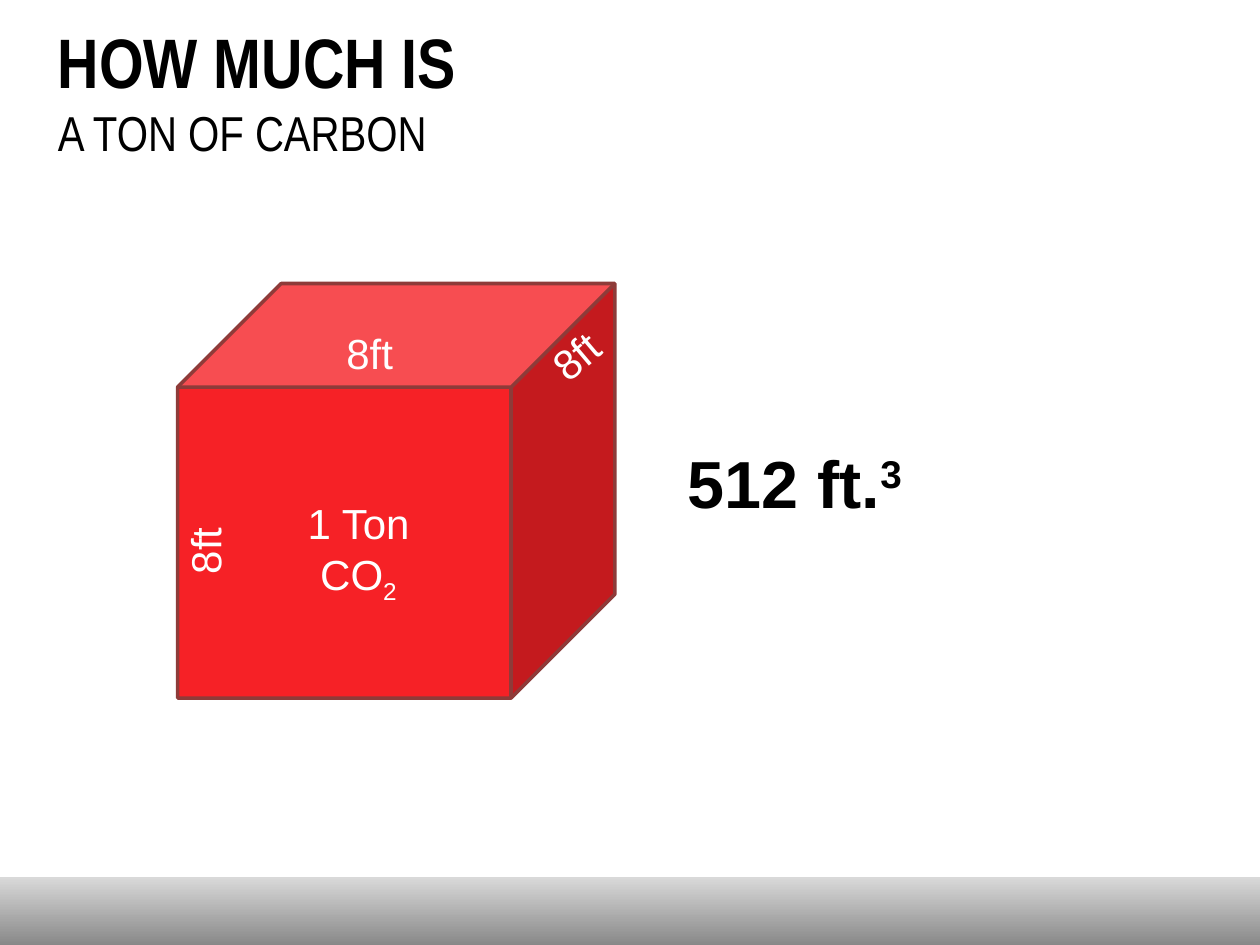
from dataclasses import dataclass

from pptx import Presentation
from pptx.dml.color import RGBColor
from pptx.enum.shapes import MSO_SHAPE
from pptx.enum.text import MSO_ANCHOR, MSO_AUTO_SIZE, PP_ALIGN
from pptx.util import Inches, Pt

LEFT, CENTER = PP_ALIGN.LEFT, PP_ALIGN.CENTER
TOP, BOTTOM = MSO_ANCHOR.TOP, MSO_ANCHOR.BOTTOM
NO_AUTOFIT = MSO_AUTO_SIZE.NONE
RECTANGLE, CUBE = MSO_SHAPE.RECTANGLE, MSO_SHAPE.CUBE


@dataclass(frozen=True)
class Theme:
    black: RGBColor = RGBColor(0x00, 0x00, 0x00)
    white: RGBColor = RGBColor(0xFF, 0xFF, 0xFF)
    cube_fill: RGBColor = RGBColor(0xF6, 0x21, 0x26)
    cube_line: RGBColor = RGBColor(0x8E, 0x3B, 0x39)
    bar_dark: RGBColor = RGBColor(0x80, 0x80, 0x80)
    bar_light: RGBColor = RGBColor(0xD9, 0xD9, 0xD9)
    title_font: str = "Arial Narrow"
    body_font: str = "Arial"
    title_size: int = 40
    subtitle_size: int = 28
    volume_size: int = 38
    label_size: int = 24


THEME = Theme()


@dataclass(frozen=True)
class TextRun:
    text: str
    size: int = THEME.label_size
    color: RGBColor = THEME.white
    font: str = THEME.body_font
    bold: bool = False
    baseline: int = 0  # percent of the type size, negative for subscript


@dataclass(frozen=True)
class Label:
    left: float
    top: float
    height: float
    paragraphs: list[list[TextRun]]
    width: float = 1.19
    rotation: float = 0
    alignment: PP_ALIGN = LEFT
    anchor: MSO_ANCHOR = TOP
    inset: float = 0.1


def place_text(shape, label: Label) -> None:
    """Position a text shape and fill it run by run."""
    shape.left, shape.top = Inches(label.left), Inches(label.top)
    shape.width, shape.height = Inches(label.width), Inches(label.height)
    shape.rotation = label.rotation
    frame = shape.text_frame
    frame.word_wrap = True
    frame.auto_size = NO_AUTOFIT
    frame.vertical_anchor = label.anchor
    frame.margin_left, frame.margin_right = Inches(label.inset), Inches(0.1)
    frame.margin_top = frame.margin_bottom = Inches(0.05)
    for index, text_runs in enumerate(label.paragraphs):
        paragraph = frame.add_paragraph() if index else frame.paragraphs[0]
        paragraph.alignment = label.alignment
        for text_run in text_runs:
            run = paragraph.add_run()
            run.text = text_run.text
            run.font.name = text_run.font
            run.font.size = Pt(text_run.size)
            run.font.bold = text_run.bold
            run.font.color.rgb = text_run.color
            if text_run.baseline:
                run.font._element.set("baseline", str(text_run.baseline * 1000))


def add_label(slide, label: Label) -> None:
    place_text(slide.shapes.add_textbox(0, 0, 0, 0), label)


def add_footer_bar(slide) -> None:
    bar = slide.shapes.add_shape(
        RECTANGLE, Inches(0), Inches(6.96), Inches(10), Inches(0.6))
    bar.shadow.inherit = False
    bar.line.fill.background()
    bar.fill.gradient()
    bar.fill.gradient_angle = 90
    stops = zip(bar.fill.gradient_stops, (THEME.bar_dark, THEME.bar_light), (0, 1))
    for stop, color, position in stops:
        stop.color.rgb = color
        stop.position = position


def add_cube(slide) -> None:
    cube = slide.shapes.add_shape(
        CUBE, Inches(1.41), Inches(2.25), Inches(3.47), Inches(3.29))
    cube.shadow.inherit = False
    cube.fill.solid()
    cube.fill.fore_color.rgb = THEME.cube_fill
    cube.line.color.rgb = THEME.cube_line
    cube.line.width = Pt(2)


def main() -> None:
    presentation = Presentation()
    presentation.slide_width, presentation.slide_height = Inches(10), Inches(7.5)
    slide = presentation.slides.add_slide(presentation.slide_layouts[5])

    # Title with a lighter second line
    title_lines = [
        [TextRun("HOW MUCH IS", THEME.title_size, THEME.black, THEME.title_font, True)],
        [TextRun("A TON OF CARBON", THEME.subtitle_size, THEME.black, THEME.title_font)],
    ]
    place_text(slide.shapes.title, Label(
        0.16, 0.48, 0.85, title_lines, width=10, anchor=BOTTOM, inset=0.3))

    add_footer_bar(slide)
    add_cube(slide)

    # Edge lengths: height, width and depth of the cube
    edge_length = [[TextRun("8ft")]]
    for left, top, rotation in ((1.03, 3.81, 270), (2.65, 2.55, 0), (4.21, 2.37, 319.7)):
        add_label(slide, Label(left, top, 0.5, edge_length, rotation=rotation))

    # Front face
    contents = [[TextRun("1 Ton")], [TextRun("CO"), TextRun("2", baseline=-25)]]
    add_label(slide, Label(2.25, 3.9, 0.91, contents, alignment=CENTER))

    # Resulting volume
    volume = [[
        TextRun("512 ft.", THEME.volume_size, THEME.black, bold=True),
        TextRun("3", THEME.volume_size, THEME.black, bold=True, baseline=30),
    ]]
    add_label(slide, Label(
        5.16, 3.34, 0.85, volume, width=4.31, anchor=BOTTOM, inset=0.3))

    presentation.save("out.pptx")


if __name__ == "__main__":
    main()
